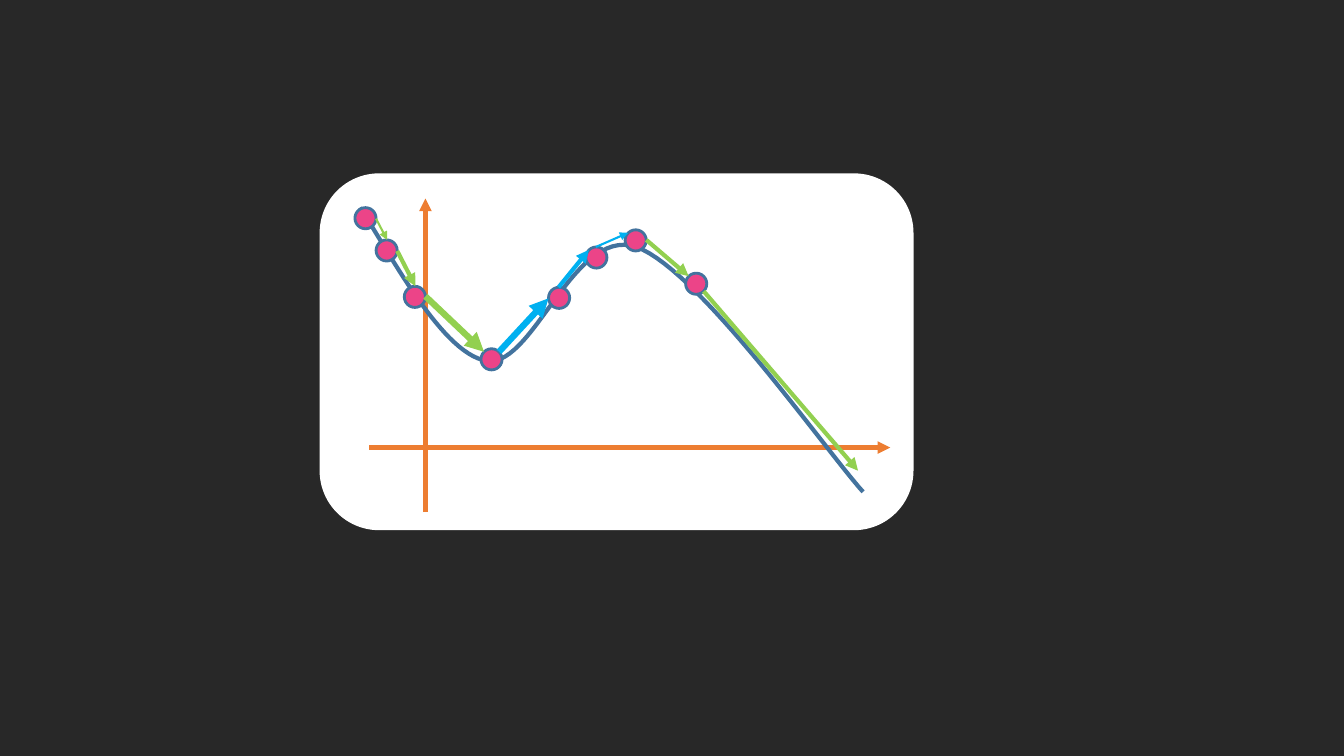
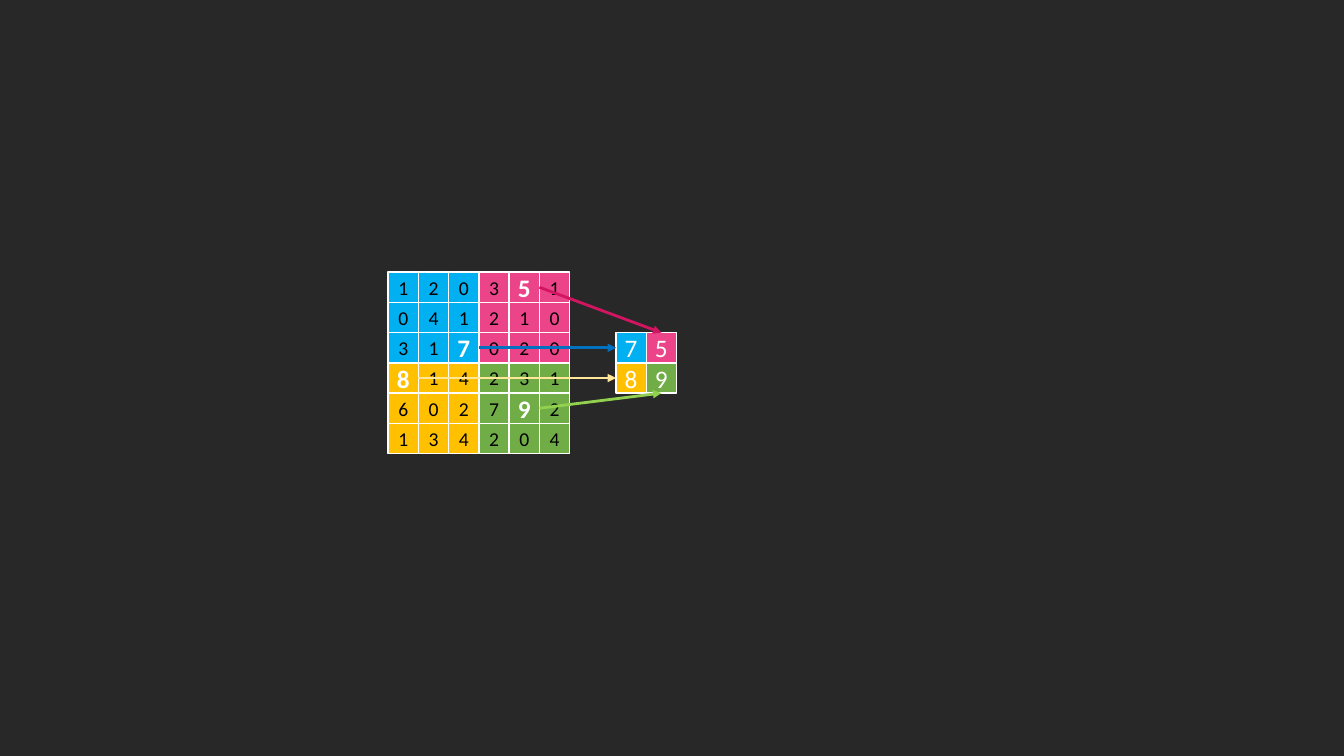
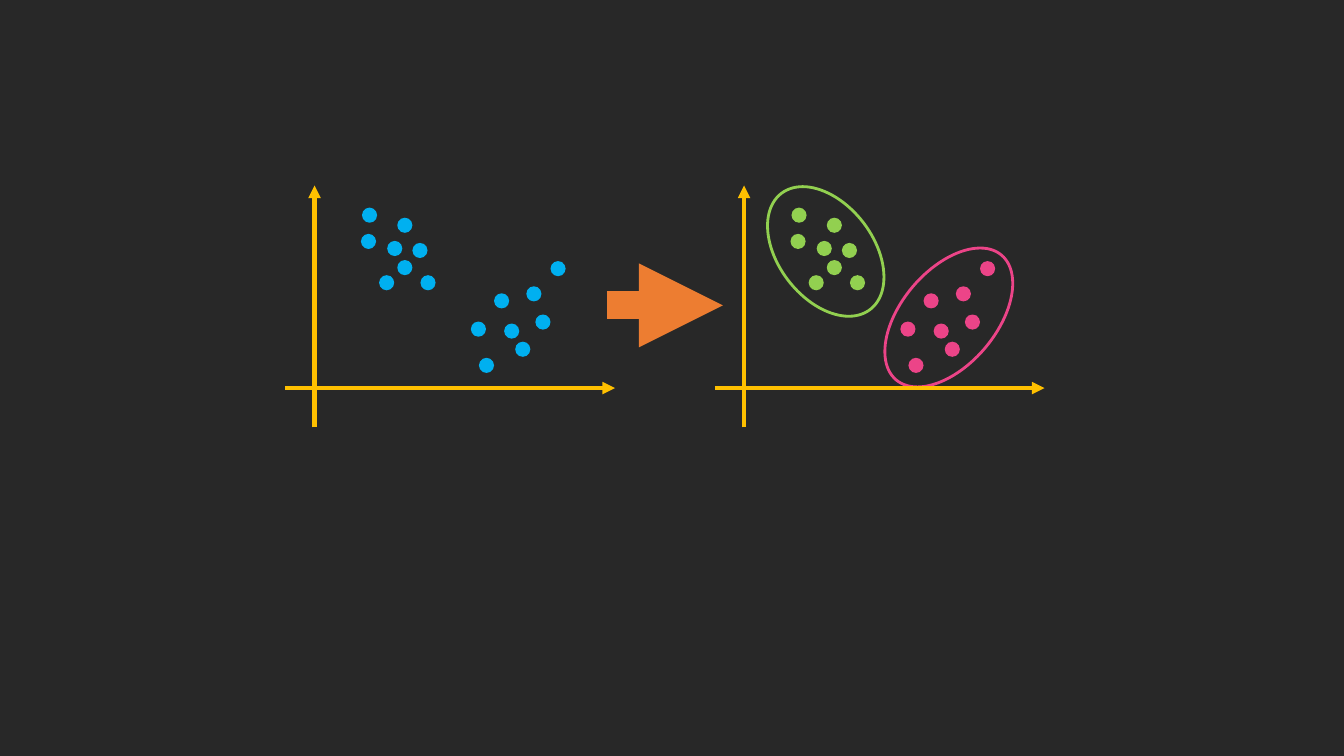
"""Build three dark slides: gradient steps, max pooling and clustering."""
from dataclasses import dataclass
from typing import Any, NamedTuple

from lxml import etree
from pptx import Presentation
from pptx import util as u
from pptx.dml.color import RGBColor
from pptx.enum import shapes, text
from pptx.oxml.ns import qn

Color = RGBColor
Point = tuple[float, float]


@dataclass(frozen=True)
class Theme:
    back: Color = Color.from_string("282828")
    white: Color = Color.from_string("FFFFFF")
    black: Color = Color.from_string("000000")
    orange: Color = Color.from_string("ED7D31")
    gold: Color = Color.from_string("FFC000")
    cream: Color = Color.from_string("FFE699")
    pink: Color = Color.from_string("EC4488")
    crimson: Color = Color.from_string("D11561")
    sky: Color = Color.from_string("00B0F0")
    blue: Color = Color.from_string("0070C0")
    steel: Color = Color.from_string("43739E")
    lime: Color = Color.from_string("92D050")
    green: Color = Color.from_string("70AD47")
    font: str = "Calibri"
    small: int = 14
    large: int = 18


T = Theme()
KIND = shapes.MSO_SHAPE
CELL_FRAME = {
    "margin_left": 0,
    "margin_right": 0,
    "margin_top": 0,
    "margin_bottom": 0,
    "word_wrap": True,
    "vertical_anchor": text.MSO_ANCHOR.MIDDLE,
}


class Box(NamedTuple):
    x: float
    y: float
    w: float
    h: float


class Arrow(NamedTuple):
    start: Point
    end: Point
    color: Color
    width: float


class Ring(NamedTuple):
    box: Box
    angle: float
    color: Color


class Cluster(NamedTuple):
    dots: tuple[Point, ...]
    ring: Ring


def apply(target: Any, values: dict[str, Any]) -> None:
    for name, value in values.items():
        setattr(target, name, value)


def style(sp: Any, fill: Color | None, line: Color | None, width: float) -> None:
    sp.shadow.inherit = False
    for part, color in ((sp.fill, fill), (sp.line.fill, line)):
        if color is None:
            part.background()
        else:
            part.solid()
            part.fore_color.rgb = color
    if line is not None:
        sp.line.width = u.Pt(width)


def add_shape(tree: Any, kind: Any, box: Box, fill: Color | None = None,
              line: Color | None = None, width: float = 1) -> Any:
    sp = tree.add_shape(kind, *map(u.Inches, box))
    style(sp, fill, line, width)
    return sp


def add_arrow(tree: Any, arrow: Arrow) -> None:
    ends = map(u.Inches, arrow.start + arrow.end)
    cn = tree.add_connector(shapes.MSO_CONNECTOR.STRAIGHT, *ends)
    cn.line.color.rgb = arrow.color
    cn.line.width = u.Pt(arrow.width)
    etree.SubElement(cn.get_or_add_ln(), qn("a:tailEnd"), type="triangle")
    etree.SubElement(cn.element.spPr, qn("a:effectLst"))


def add_cell(tree: Any, box: Box, fill: Color, value: int, font: dict[str, Any],
             color: Color) -> None:
    sp = add_shape(tree, KIND.RECTANGLE, box, fill, T.white)
    tf = sp.text_frame
    apply(tf, CELL_FRAME)
    p = tf.paragraphs[0]
    p.alignment = text.PP_ALIGN.CENTER
    r = p.add_run()
    r.text = str(value)
    apply(r.font, {"name": T.font, **font})
    r.font.color.rgb = color


def bezier(a: Point, b: Point, c: Point, d: Point, steps: int = 30) -> list[Point]:
    pts = []
    for i in range(1, steps + 1):
        t = i / steps
        weights = ((1 - t) ** 3, 3 * t * (1 - t) ** 2, 3 * t * t * (1 - t), t ** 3)
        x, y = (sum(k * v for k, v in zip(weights, axis)) for axis in zip(a, b, c, d))
        pts.append((x, y))
    return pts


def add_curve(tree: Any, knots: list[Point], color: Color, width: float) -> None:
    pts = [pt for i in range(0, len(knots) - 1, 3) for pt in bezier(*knots[i:i + 4])]
    start = knots[0]
    path = tree.build_freeform(u.Inches(start[0]), u.Inches(start[1]))
    path.add_line_segments([(u.Inches(x), u.Inches(y)) for x, y in pts], close=False)
    style(path.convert_to_shape(), None, color, width)


CURVE = [
    (3.57, 2.06), (3.84, 2.46), (4.38, 3.52), (4.83, 3.58), (5.29, 3.65),
    (5.69, 2.24), (6.31, 2.45), (6.93, 2.67), (8.19, 4.47), (8.56, 4.88),
]
STOPS = [
    (3.52, 2.06), (3.73, 2.38), (4.01, 2.84), (4.77, 3.46),
    (5.44, 2.85), (5.81, 2.45), (6.2, 2.28), (6.8, 2.71),
]
STEPS = [
    Arrow((3.73, 2.17), (3.84, 2.38), T.lime, 1.5),
    Arrow((3.94, 2.49), (4.12, 2.84), T.lime, 3),
    Arrow((4.22, 2.94), (4.8, 3.49), T.lime, 4.5),
    Arrow((4.95, 3.49), (5.44, 2.96), T.sky, 4.5),
    Arrow((5.54, 2.85), (5.84, 2.48), T.sky, 3),
    Arrow((5.91, 2.45), (6.23, 2.31), T.sky, 1.5),
    Arrow((6.41, 2.38), (6.83, 2.74), T.lime, 3),
    Arrow((6.98, 2.89), (8.51, 4.67), T.lime, 3),
]


def draw_gradient(tree: Any) -> None:
    add_shape(tree, KIND.ROUNDED_RECTANGLE, Box(3.17, 1.72, 5.89, 3.54), T.white)
    add_arrow(tree, Arrow((3.66, 4.44), (8.83, 4.44), T.orange, 3))
    add_arrow(tree, Arrow((4.22, 5.08), (4.22, 1.97), T.orange, 3))
    add_curve(tree, CURVE, T.steel, 3)
    for x, y in STOPS:
        add_shape(tree, KIND.OVAL, Box(x, y, 0.21, 0.21), T.pink, T.steel, 2)
    for step in STEPS:
        add_arrow(tree, step)


MATRIX = [
    [1, 2, 0, 3, 5, 1],
    [0, 4, 1, 2, 1, 0],
    [3, 1, 7, 0, 2, 0],
    [8, 1, 4, 2, 3, 1],
    [6, 0, 2, 7, 9, 2],
    [1, 3, 4, 2, 0, 4],
]
POOL_COLORS = ((T.sky, T.pink), (T.gold, T.green))
POOL, CELL = 3, 0.3
POOL_ARROWS = [
    Arrow((5.35, 2.85), (6.56, 3.3), T.crimson, 2),
    Arrow((5.35, 4.05), (6.56, 3.9), T.lime, 2),
    Arrow((4.15, 3.75), (6.11, 3.75), T.cream, 2),
    Arrow((4.75, 3.45), (6.11, 3.45), T.blue, 2),
]


def draw_pooling(tree: Any) -> None:
    plain = {"size": u.Pt(T.small)}
    large = {"size": u.Pt(T.large)}
    for i, colors in enumerate(POOL_COLORS):
        for j, fill in enumerate(colors):
            cells = [(r, c) for r in range(i * POOL, (i + 1) * POOL)
                     for c in range(j * POOL, (j + 1) * POOL)]
            top = max(MATRIX[r][c] for r, c in cells)
            for r, c in cells:
                value = MATRIX[r][c]
                font, color = plain, T.black
                if value == top:
                    font, color = {**large, "bold": True}, T.white
                box = Box(3.85 + c * CELL, 2.7 + r * CELL, CELL, CELL)
                add_cell(tree, box, fill, value, font, color)
            box = Box(6.11 + j * CELL, 3.3 + i * CELL, CELL, CELL)
            add_cell(tree, box, fill, top, large, T.white)
    for arrow in POOL_ARROWS:
        add_arrow(tree, arrow)


CLUSTERS = [
    Cluster(
        ((3.59, 2.06), (3.58, 2.32), (3.94, 2.16), (3.94, 2.58),
         (4.09, 2.41), (3.84, 2.39), (3.76, 2.73), (4.17, 2.73)),
        Ring(Box(7.72, 1.77, 0.94, 1.45), 322.6, T.lime),
    ),
    Cluster(
        ((5.22, 2.84), (4.67, 3.19), (4.9, 2.91), (5.11, 3.39),
         (5.31, 3.12), (5, 3.21), (4.75, 3.55), (5.46, 2.59)),
        Ring(Box(8.94, 2.34, 0.94, 1.62), 40.2, T.pink),
    ),
]
PLOT_SHIFT = 4.26


def draw_plot(tree: Any, dx: float, colors: list[Color]) -> None:
    for cluster, color in zip(CLUSTERS, colors):
        for x, y in cluster.dots:
            add_shape(tree, KIND.OVAL, Box(x + dx, y, 0.15, 0.15), color)
    add_arrow(tree, Arrow((2.83 + dx, 3.85), (6.1 + dx, 3.85), T.gold, 3))
    add_arrow(tree, Arrow((3.12 + dx, 4.24), (3.12 + dx, 1.84), T.gold, 3))


def draw_clusters(tree: Any) -> None:
    draw_plot(tree, 0, [T.sky, T.sky])
    for cluster in CLUSTERS:
        ring = cluster.ring
        sp = add_shape(tree, KIND.OVAL, ring.box, None, ring.color, 2)
        sp.rotation = ring.angle
    draw_plot(tree, PLOT_SHIFT, [cluster.ring.color for cluster in CLUSTERS])
    add_arrow(tree, Arrow((6.02, 3.03), (7.17, 3.03), T.orange, 20))


def main() -> None:
    prs = Presentation()
    apply(prs, {"slide_width": u.Inches(13.33), "slide_height": u.Inches(7.5)})
    fill = prs.slide_master.background.fill
    fill.solid()
    fill.fore_color.rgb = T.back
    for draw in (draw_gradient, draw_pooling, draw_clusters):
        s = prs.slides.add_slide(prs.slide_layouts[6])
        draw(s.shapes)
    prs.save("out.pptx")


if __name__ == "__main__":
    main()
